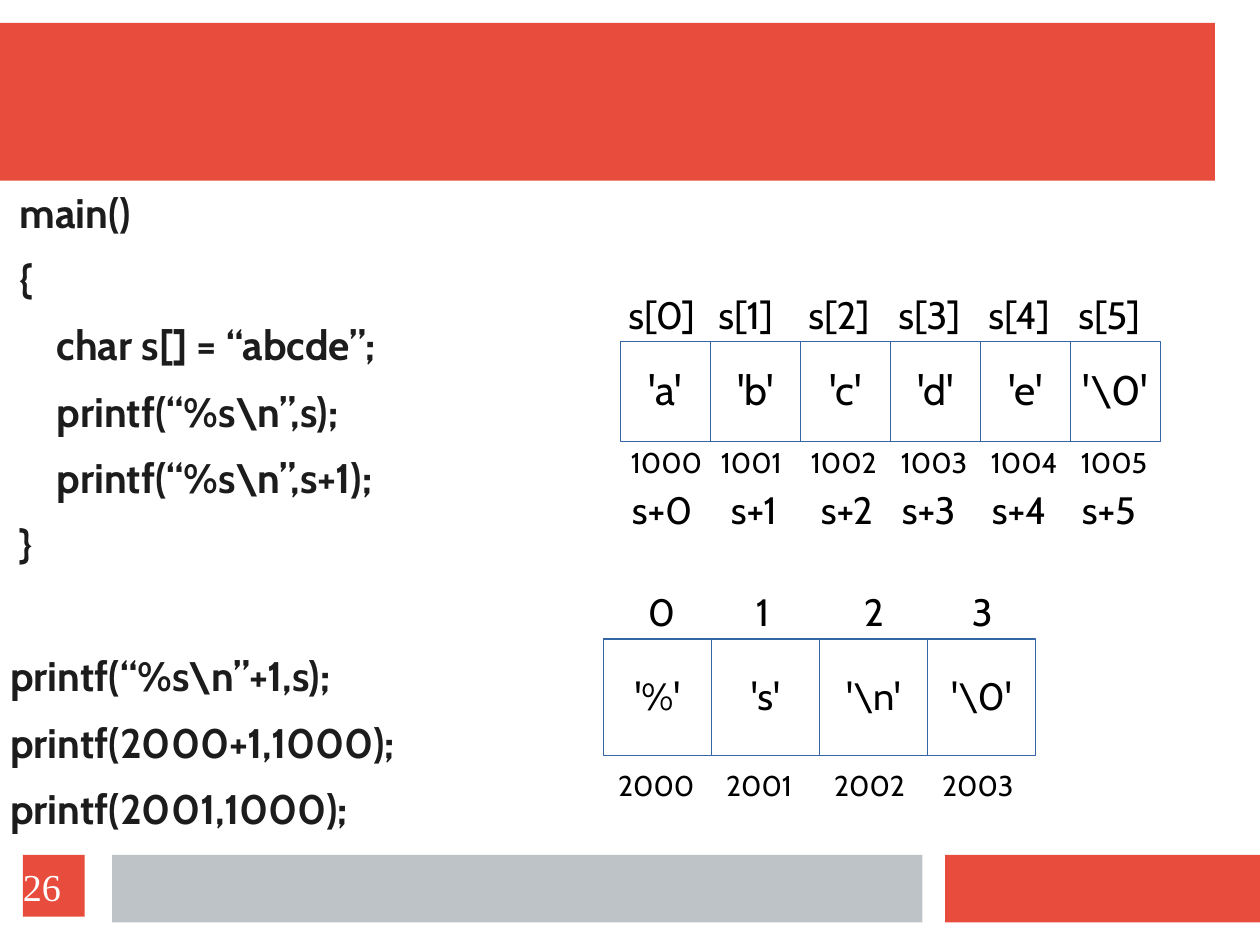
"""Build the slide on string pointers: code at left, memory cells at right."""
from dataclasses import dataclass

from lxml.etree import SubElement
from pptx import Presentation
from pptx.dml.color import RGBColor
from pptx.enum.shapes import MSO_SHAPE as Shape
from pptx.enum.text import MSO_ANCHOR as Anchor, MSO_AUTO_SIZE as Fit, PP_ALIGN as Align
from pptx.oxml.ns import qn
from pptx.util import Inches, Pt

RED, GREY, BLUE = "E74C3C", "BDC3C7", "3465A4"
WHITE, BLACK, INK = "FFFFFF", "000000", "1C1C1C"
FONT = "Cabin"
CM = 1 / 2.54
WIDE, HIGH = 28 * CM, 21 * CM
NEAR, FAR = 2 * CM, 2.4 * CM
CODE = [
    " main()",
    " {",
    "     char s[] = “abcde”;",
    "     printf(“%s\\n”,s);",
    "     printf(“%s\\n”,s+1);",
    " }",
    "printf(“%s\\n”+1,s);",
    "printf(2000+1,1000);",
    "printf(2001,1000);",
]
CALLS = 6


@dataclass
class Box:
    left: float
    top: float
    width: float
    height: float


@dataclass
class Row:
    texts: list[str]
    first: Box
    step: float
    size: int
    cell: bool = False
    shifts: tuple[float, ...] = ()


BARS = [
    (Box(0, 0.2, 10.63, 1.38), RED),
    (Box(8.27, 7.48, 2.76, 0.59), RED),
    (Box(0.98, 7.48, 7.09, 0.59), GREY),
]
ROWS = [
    Row(["'a'", "'b'", "'c'", "'d'", "'e'", "'\\0'"],
        Box(5.43, 2.99, NEAR, 0.87), NEAR, 26, True),
    Row([f"s[{i}]" for i in range(6)], Box(5.4, 2.52, 0.84, 0.5), NEAR, 24),
    Row([str(1000 + i) for i in range(6)], Box(5.42, 3.86, 0.85, 0.4), NEAR, 18),
    Row([f"s+{i}" for i in range(6)], Box(5.43, 4.23, 0.86, 0.5), NEAR, 24,
        shifts=(0, 0.08, 0.08, 0, 0, 0)),
    Row(["'%'", "'s'", "'\\n'", "'\\0'"], Box(5.28, 5.59, FAR, 1.02), FAR, 24, True),
    Row([str(2000 + i) for i in range(4)], Box(5.31, 6.69, 0.88, 0.4), FAR, 18),
    Row([str(i) for i in range(4)], Box(5.57, 5.12, 0.41, 0.5), FAR, 24),
]


def tint(color, code: str) -> None:
    """Set a colour from a hex string."""
    color.rgb = RGBColor.from_string(code)


def place(box: Box) -> tuple[int, ...]:
    """Turn a box into lengths."""
    return tuple(Inches(v) for v in (box.left, box.top, box.width, box.height))


def style(par, size: int, code: str, name: str = FONT, bold: bool = False) -> None:
    """Format every run of a paragraph."""
    for run in par.runs:
        run.font.size, run.font.name, run.font.bold = Pt(size), name, bold
        tint(run.font.color, code)


def pad(frame, side: float, edge: float) -> None:
    """Set the insets of a text frame."""
    frame.margin_left = frame.margin_right = Inches(side)
    frame.margin_top = frame.margin_bottom = Inches(edge)


def block(slide, box: Box, fill: str, line: str = ""):
    """Add a flat rectangle."""
    rect = slide.shapes.add_shape(Shape.RECTANGLE, *place(box))
    rect.shadow.inherit = False
    rect.fill.solid()
    tint(rect.fill.fore_color, fill)
    if line:
        tint(rect.line.color, line)
        rect.line.width = Pt(0.75)
    else:
        rect.line.fill.background()
    return rect


def write(shape, text: str, size: int, align: Align, middle: bool) -> None:
    """Write one label into a shape."""
    frame = shape.text_frame
    frame.word_wrap = True
    pad(frame, 0 if middle else 0.1, 0.05)
    frame.vertical_anchor = Anchor.MIDDLE if middle else Anchor.TOP
    frame.text = text
    par = frame.paragraphs[0]
    par.alignment, par.line_spacing = align, 0.97
    style(par, size, BLACK)


def draw(slide, row: Row) -> None:
    """Draw a row of cells or labels at equal steps."""
    one = row.first
    shifts = row.shifts or (0,) * len(row.texts)
    for i, (text, shift) in enumerate(zip(row.texts, shifts)):
        box = Box(one.left + i * row.step + shift, one.top, one.width, one.height)
        if row.cell:
            write(block(slide, box, WHITE, BLUE), text, row.size, Align.CENTER, True)
        else:
            write(slide.shapes.add_textbox(*place(box)), text, row.size, Align.LEFT, False)


def fill_code(body) -> None:
    """Put the program into the body placeholder."""
    body.left, body.top, body.width, body.height = place(Box(0.08, 1.65, 4.88, 5.67))
    frame = body.text_frame
    frame.text = "\n".join(CODE)
    frame.word_wrap, frame.auto_size = True, Fit.NONE
    frame.vertical_anchor = Anchor.TOP
    pad(frame, 0, 0.01)
    for i, par in enumerate(frame.paragraphs):
        par.line_spacing, par.space_after = 0.97, Pt(11.5)
        par.space_before = Pt(41.5 if i == CALLS else 0)
        props = par._p.get_or_add_pPr()
        props.set("marL", str(Inches(0.38)))
        props.set("indent", str(Inches(-0.37)))
        SubElement(props, qn("a:buNone"))
        style(par, 26, INK, bold=True)


def number(slide) -> None:
    """Add the page number square."""
    frame = block(slide, Box(0.2, 7.48, 0.54, 0.54), RED).text_frame
    pad(frame, 0, 0)
    frame.vertical_anchor = Anchor.MIDDLE
    frame.text = "26"
    par = frame.paragraphs[0]
    par.alignment = Align.LEFT
    style(par, 24, WHITE, "Times New Roman")


def main() -> None:
    """Build and save the deck."""
    deck = Presentation()
    deck.slide_width, deck.slide_height = Inches(WIDE), Inches(HIGH)
    slide = deck.slides.add_slide(deck.slide_layouts[1])
    title = slide.shapes.title._element
    title.getparent().remove(title)
    for box, code in BARS:
        block(slide, box, code)
    fill_code(slide.placeholders[1])
    for row in ROWS:
        draw(slide, row)
    number(slide)
    deck.save("out.pptx")


if __name__ == "__main__":
    main()
